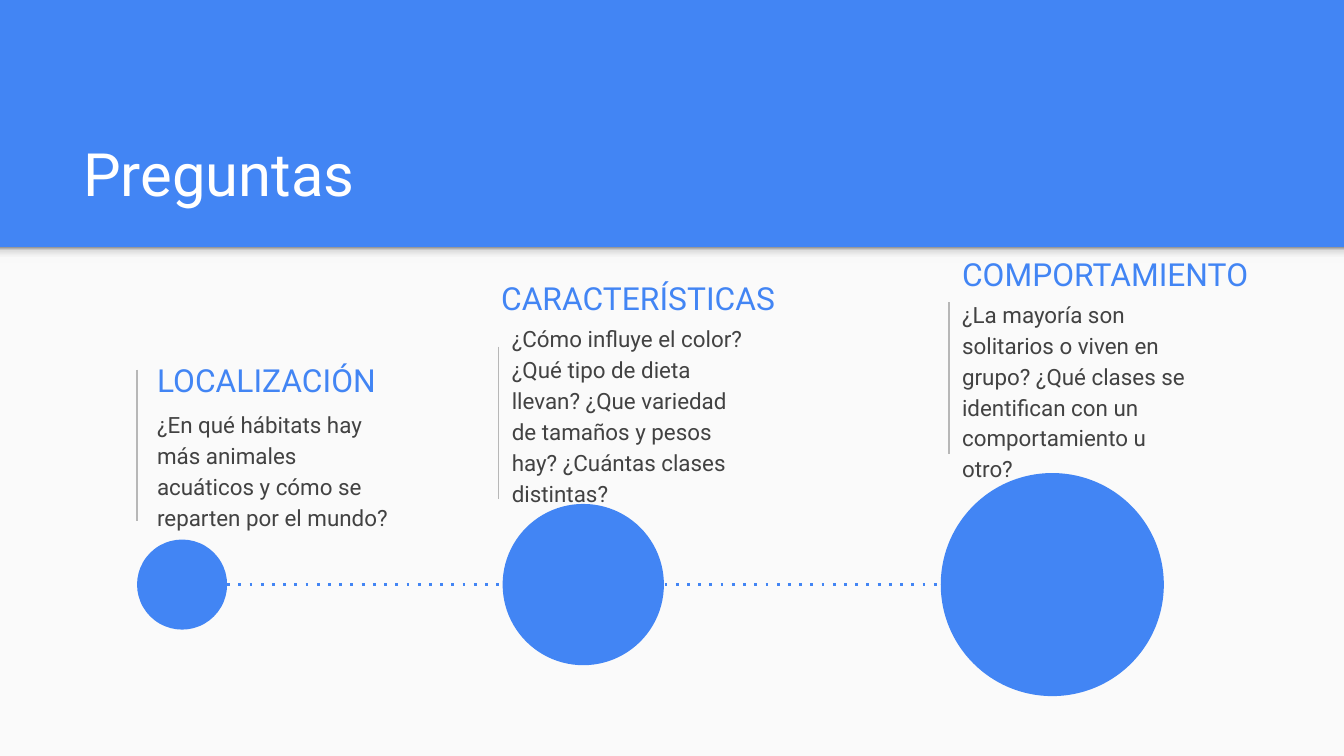
from copy import deepcopy
from dataclasses import dataclass

from pptx import Presentation
from pptx.dml.color import RGBColor
from pptx.enum.dml import MSO_LINE
from pptx.enum.shapes import MSO_CONNECTOR, MSO_SHAPE
from pptx.enum.text import MSO_ANCHOR, PP_ALIGN
from pptx.oxml.ns import qn
from pptx.oxml.xmlchemy import OxmlElement
from pptx.shapes.autoshape import Shape
from pptx.shapes.connector import Connector
from pptx.slide import Slide
from pptx.util import Inches, Pt

BLUE = RGBColor(0x42, 0x85, 0xF4)
PANEL = RGBColor(0xFA, 0xFA, 0xFA)
WHITE = RGBColor(0xFF, 0xFF, 0xFF)
BODY_GRAY = RGBColor(0x42, 0x42, 0x42)
RULE_GRAY = RGBColor(0xB7, 0xB7, 0xB7)
SHADOW_STOPS = [
    (0, RGBColor(0xF9, 0xF9, 0xF9)),
    (0.36, RGBColor(0xF9, 0xF9, 0xF9)),
    (0.8, RGBColor(0xDE, 0xDE, 0xDE)),
    (1, RGBColor(0x99, 0x99, 0x99)),
]
FONT = "Roboto"
WIDTH = 10
HEIGHT = WIDTH * 9 / 16
PANEL_TOP = 1.84
TIMELINE_Y = 4.35
RULE_LENGTH = 1.13
HEADING_HEIGHT = 0.43
BODY_WIDTH, BODY_HEIGHT = 1.98, 0.63


@dataclass
class Question:
    heading: str
    body: str
    heading_left: float
    heading_top: float
    heading_width: float
    body_left: float
    body_top: float
    rule_left: float
    rule_top: float
    circle_left: float
    diameter: float


QUESTIONS = [
    Question("LOCALIZACIÓN",
             "¿En qué hábitats hay más animales acuáticos y cómo se reparten por el mundo?",
             1.07, 2.61, 1.98, 1.07, 2.93, 1.02, 2.75, 1.02, 0.67),
    Question("CARACTERÍSTICAS",
             "¿Cómo influye el color? ¿Qué tipo de dieta llevan? ¿Que variedad de tamaños "
             "y pesos hay? ¿Cuántas clases distintas?",
             3.63, 2, 2.42, 3.71, 2.29, 3.71, 2.58, 3.74, 1.2),
    Question("COMPORTAMIENTO",
             "¿La mayoría son solitarios o viven en grupo? ¿Qué clases se identifican con un "
             "comportamiento u otro?",
             7.06, 1.82, 2.73, 7.06, 2.11, 7.06, 2.25, 7, 1.66),
]


def add_plain_shape(slide: Slide, kind: MSO_SHAPE, left: float, top: float,
                    width: float, height: float, color: RGBColor) -> Shape:
    shape = slide.shapes.add_shape(kind, Inches(left), Inches(top), Inches(width), Inches(height))
    shape.shadow.inherit = False
    shape.fill.solid()
    shape.fill.fore_color.rgb = color
    shape.line.fill.background()
    return shape


def add_text(slide: Slide, text: str, left: float, top: float, width: float, height: float,
             size: float, color: RGBColor, anchor: MSO_ANCHOR,
             line_spacing: float = 1, space_after: float = 0) -> None:
    box = slide.shapes.add_textbox(Inches(left), Inches(top), Inches(width), Inches(height))
    frame = box.text_frame
    frame.text = text
    frame.word_wrap = True
    frame.vertical_anchor = anchor
    frame.margin_left = frame.margin_right = Inches(0.1)
    frame.margin_top = frame.margin_bottom = Inches(0.1)
    paragraph = frame.paragraphs[0]
    paragraph.alignment = PP_ALIGN.LEFT
    paragraph.line_spacing = line_spacing
    paragraph.space_after = Pt(space_after)
    font = paragraph.runs[0].font
    font.name = FONT
    font.size = Pt(size)
    font.color.rgb = color


def add_line(slide: Slide, start: tuple[float, float], end: tuple[float, float],
             color: RGBColor, width: float) -> Connector:
    connector = slide.shapes.add_connector(
        MSO_CONNECTOR.STRAIGHT, Inches(start[0]), Inches(start[1]), Inches(end[0]), Inches(end[1]))
    connector.line.color.rgb = color
    connector.line.width = Pt(width)
    connector._element.spPr.append(OxmlElement("a:effectLst"))
    return connector


def add_panel_shadow(slide: Slide) -> None:
    shape = add_plain_shape(slide, MSO_SHAPE.RECTANGLE, 0, PANEL_TOP, WIDTH, 0.12, PANEL)
    shape.fill.gradient()
    shape.fill.gradient_angle = 90
    stop_list = shape._element.spPr.find(".//" + qn("a:gsLst"))
    while len(stop_list) < len(SHADOW_STOPS):
        stop_list.append(deepcopy(stop_list[0]))
    for stop, (position, color) in zip(shape.fill.gradient_stops, SHADOW_STOPS):
        stop.position = position
        stop.color.rgb = color


def add_question(slide: Slide, question: Question) -> None:
    add_line(slide, (question.rule_left, question.rule_top),
             (question.rule_left, question.rule_top + RULE_LENGTH), RULE_GRAY, 0.75)
    add_text(slide, question.heading, question.heading_left, question.heading_top,
             question.heading_width, HEADING_HEIGHT, 17, BLUE, MSO_ANCHOR.MIDDLE)
    add_text(slide, question.body, question.body_left, question.body_top,
             BODY_WIDTH, BODY_HEIGHT, 12, BODY_GRAY, MSO_ANCHOR.TOP, 1.15, 16)


def add_timeline(slide: Slide) -> None:
    first, last = QUESTIONS[0], QUESTIONS[-1]
    connector = add_line(slide, (first.circle_left + first.diameter, TIMELINE_Y),
                         (last.circle_left, TIMELINE_Y), BLUE, 1.5)
    connector.line.dash_style = MSO_LINE.ROUND_DOT
    connector._element.spPr.find(".//" + qn("a:prstDash")).set("val", "dot")
    for question in QUESTIONS:
        add_plain_shape(slide, MSO_SHAPE.OVAL, question.circle_left,
                        TIMELINE_Y - question.diameter / 2,
                        question.diameter, question.diameter, BLUE)


def main() -> None:
    presentation = Presentation()
    presentation.slide_width = Inches(WIDTH)
    presentation.slide_height = Inches(HEIGHT)
    slide = presentation.slides.add_slide(presentation.slide_layouts[6])

    # Blue background, light panel and its shadow
    slide.background.fill.solid()
    slide.background.fill.fore_color.rgb = BLUE
    add_plain_shape(slide, MSO_SHAPE.RECTANGLE, 0, PANEL_TOP, WIDTH, HEIGHT - PANEL_TOP, PANEL)
    add_panel_shadow(slide)

    # Title
    add_text(slide, "Preguntas", 0.52, 0.81, 8.99, 0.84, 32, WHITE, MSO_ANCHOR.BOTTOM)

    # Questions above the timeline
    for question in QUESTIONS:
        add_question(slide, question)
    add_timeline(slide)

    presentation.save("out.pptx")


if __name__ == "__main__":
    main()
